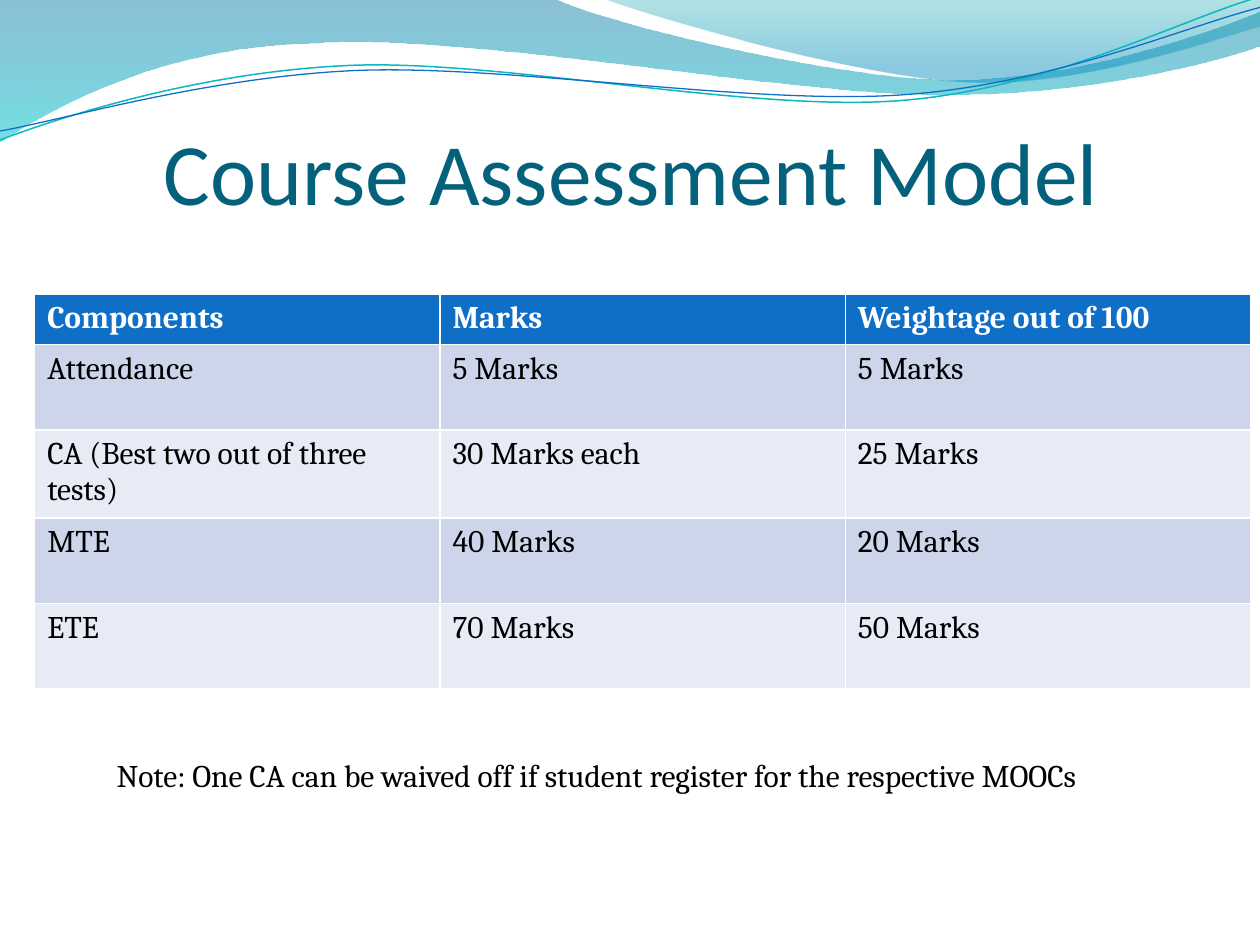
"""Build the course assessment slide with its wave banner, marks table and note."""
import math

import pptx
import pptx.dml.color
import pptx.enum.text
import pptx.oxml
import pptx.oxml.ns
import pptx.util
from pptx.util import Cm

THEME = {
    "title": "04617B", "text": "000000", "light": "FFFFFF", "header": "0F6FC6",
    "bands": ("CCD5EA", "E7EBF5"),
    "title_font": "Calibri", "body_font": "Cambria", "title_size": 50, "body_size": 18,
}
TITLE = "Course Assessment Model"
NOTE = "Note: One CA can be waived off if student register for the respective MOOCs"
ROWS = [
    ("Components", "Marks", "Weightage out of 100"),
    ("Attendance", "5 Marks", "5 Marks"),
    ("CA (Best two out of three tests)", "30 Marks each", "25 Marks"),
    ("MTE", "40 Marks", "20 Marks"),
    ("ETE", "70 Marks", "50 Marks"),
]
HEADER_HEIGHT, ROW_HEIGHT, COLUMN_WIDTH = 0.98, 1.72, 8.17
STRAND_TURN, STRAND_CENTER = -2.7, (12.68, 1.47)
# Each segment holds one end point, or two control points and an end point.
BANDS = [
    {"start": (0, 0), "stops": [(0, "0074A1", 45), (1, "00C6CF", 55)], "segments": [
        [(11.18, -0.03)],
        [(12.09, 0.43), (16.87, 1.6), (19.25, 1.6)],
        [(21.67, 1.6), (24.33, 0.66), (25.4, 0.23)],
        [(25.43, 0.91)],
        [(24.97, 1.12), (22.1, 1.93), (18.95, 1.91)],
        [(15.8, 1.91), (9.7, 0.71), (6.53, 0.86)],
        [(3.28, 0.91), (1.17, 2.11), (-0.03, 2.87)],
        [(0, 0)]]},
    {"start": (12.17, -0.03), "stops": [(0, "00A1A9", 30), (0.8, "008BBF", 45)], "segments": [
        [(12.93, 0.28), (17.32, 1.57), (19.53, 1.65)],
        [(21.74, 1.75), (24.41, 0.81), (25.4, 0.53)],
        [(25.4, 0)],
        [(12.17, -0.03)]]},
]
STRANDS = [
    {"start": (0, 2.82), "color": "0AB8BF", "width": 0.85, "segments": [
        [(1.22, 2.36), (4.01, 1.45), (7.04, 1.32)],
        [(10.03, 1.19), (15.06, 2.26), (18.11, 2.03)],
        [(21.16, 1.8), (23.83, 0.38), (25.35, -0.05)]]},
    {"start": (0, 2.64), "color": "0F6FC6", "width": 0.75, "segments": [
        [(1.19, 2.44), (4.17, 1.55), (7.19, 1.42)],
        [(10.24, 1.3), (15.16, 2.13), (18.21, 1.91)],
        [(21.23, 1.7), (23.9, 0.53), (25.4, 0.15)]]},
]


def rgb(value):
    return pptx.dml.color.RGBColor.from_string(value)


def write_text(frame, text, font=THEME["body_font"], size=THEME["body_size"],
               color=THEME["text"], bold=False, align=None):
    paragraph = frame.paragraphs[0]
    paragraph.alignment = align
    run = paragraph.add_run()
    run.text = text
    run.font.name, run.font.size, run.font.bold = font, pptx.util.Pt(size), bold
    run.font.color.rgb = rgb(color)


def add_text_box(slide, box, text, **text_format):
    frame = slide.shapes.add_textbox(*map(Cm, box)).text_frame
    frame.word_wrap = True
    write_text(frame, text, **text_format)
    return frame


def turn_back(point, degrees):
    angle = math.radians(-degrees)
    center_x, center_y = STRAND_CENTER
    x, y = point[0] - center_x, point[1] - center_y
    return (Cm(center_x + x * math.cos(angle) - y * math.sin(angle)),
            Cm(center_y + x * math.sin(angle) + y * math.cos(angle)))


def add_outline(slide, outline, close, rotation=0):
    segments = [[turn_back(point, rotation) for point in segment]
                for segment in outline["segments"]]
    builder = slide.shapes.build_freeform(*turn_back(outline["start"], rotation))
    builder.add_line_segments([segment[-1] for segment in segments], close=close)
    shape = builder.convert_to_shape()
    lines = list(shape._element.iter(pptx.oxml.ns.qn("a:lnTo")))
    for line, segment in zip(lines, segments):
        if len(segment) == 3:
            points = "".join(f'<a:pt x="{x - shape.left}" y="{y - shape.top}"/>'
                             for x, y in segment)
            curve = pptx.oxml.parse_xml(
                f'<a:cubicBezTo {pptx.oxml.ns.nsdecls("a")}>{points}</a:cubicBezTo>')
            line.getparent().replace(line, curve)
    shape.rotation = rotation
    shape.shadow.inherit = False
    return shape


def add_band(slide, band):
    shape = add_outline(slide, band, True)
    shape.line.fill.background()
    shape.fill.gradient()
    shape.fill.gradient_angle = 270
    for stop, (position, color, _) in zip(shape.fill.gradient_stops, band["stops"]):
        stop.position = position
        stop.color.rgb = rgb(color)
    color_tags = list(shape._element.spPr.iter(pptx.oxml.ns.qn("a:srgbClr")))
    for tag, (_, _, opacity) in zip(color_tags, band["stops"]):
        tag.append(pptx.oxml.parse_xml(
            f'<a:alpha {pptx.oxml.ns.nsdecls("a")} val="{opacity * 1000}"/>'))


def add_strand(slide, strand):
    shape = add_outline(slide, strand, False, rotation=STRAND_TURN)
    shape.fill.background()
    shape.line.color.rgb = rgb(strand["color"])
    shape.line.width = pptx.util.Pt(strand["width"])


def add_marks_table(slide):
    heights = [HEADER_HEIGHT] + [ROW_HEIGHT] * (len(ROWS) - 1)
    columns = len(ROWS[0])
    table = slide.shapes.add_table(len(ROWS), columns, Cm(0.7), Cm(5.93),
                                   Cm(COLUMN_WIDTH * columns), Cm(sum(heights))).table
    for column in table.columns:
        column.width = Cm(COLUMN_WIDTH)
    for index, (values, height) in enumerate(zip(ROWS, heights)):
        table.rows[index].height = Cm(height)
        header = index == 0
        for cell, value in zip(table.rows[index].cells, values):
            cell.fill.solid()
            cell.fill.fore_color.rgb = rgb(THEME["header"] if header else THEME["bands"][(index - 1) % 2])
            write_text(cell.text_frame, value, bold=header,
                       color=THEME["light"] if header else THEME["text"])


def main():
    presentation = pptx.Presentation()
    presentation.slide_width, presentation.slide_height = Cm(25.4), Cm(19.05)
    slide = presentation.slides.add_slide(presentation.slide_layouts[6])
    for band in BANDS:
        add_band(slide, band)
    for strand in STRANDS:
        add_strand(slide, strand)
    title = add_text_box(slide, (1.3, 1.32, 22.86, 3.18), TITLE, font=THEME["title_font"],
                         size=THEME["title_size"], color=THEME["title"],
                         align=pptx.enum.text.PP_ALIGN.CENTER)
    title.vertical_anchor = pptx.enum.text.MSO_ANCHOR.BOTTOM
    title.margin_left = title.margin_right = title.margin_bottom = 0
    add_marks_table(slide)
    add_text_box(slide, (2.1, 15.12, 20.19, 1.8), NOTE)
    presentation.save("out.pptx")


if __name__ == "__main__":
    main()
